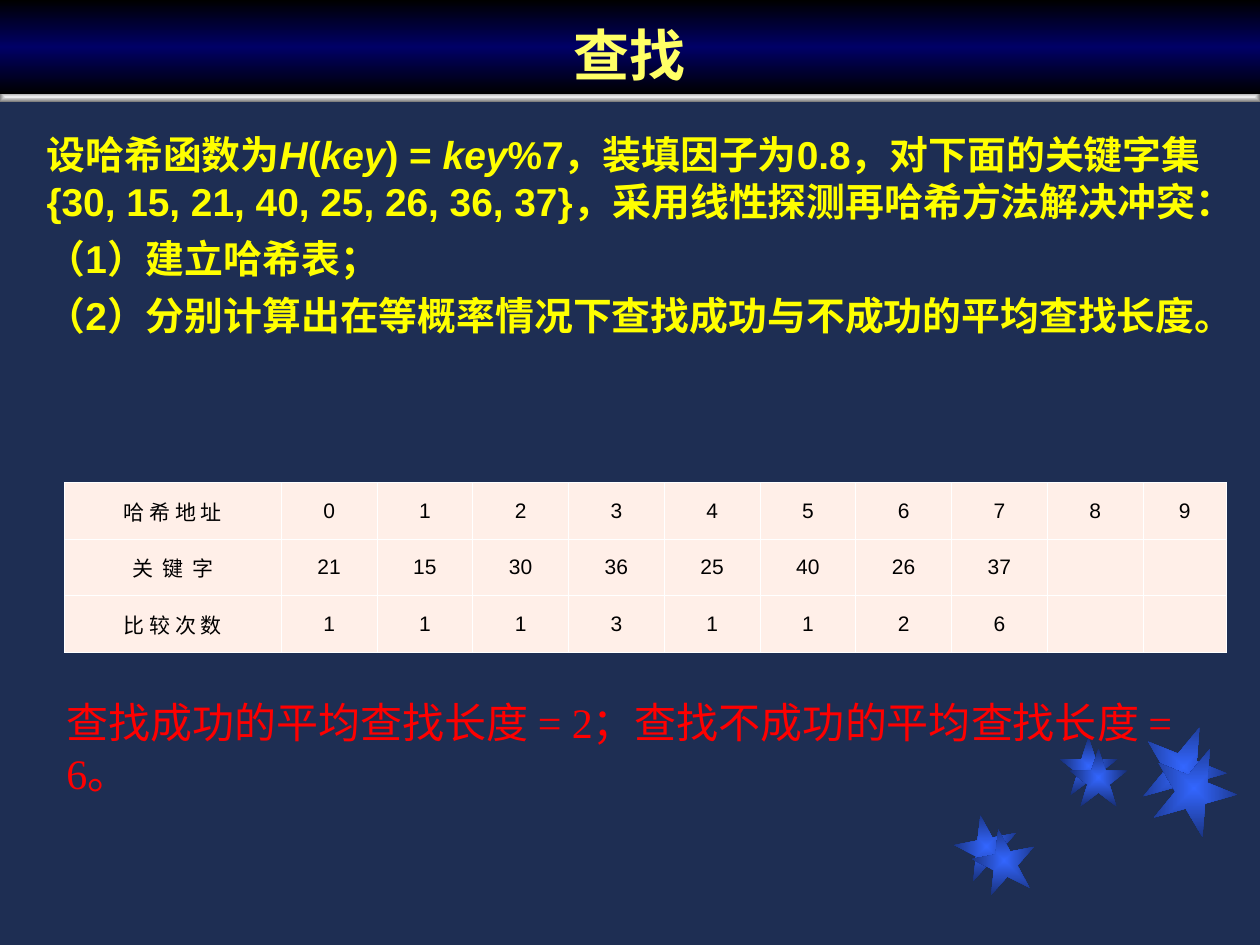
from lxml import etree
from pptx import Presentation
from pptx.dml.color import RGBColor
from pptx.enum.shapes import MSO_SHAPE as Shape
from pptx.enum.text import MSO_ANCHOR as Anchor, PP_ALIGN as Align
from pptx.oxml import parse_xml
from pptx.oxml.ns import nsdecls, qn
from pptx.util import Cm, Pt

COLORS = {
    "background": "1E2E53", "title": "FFFF66", "question": "FFFF00",
    "answer": "FF0000", "cell": "FFEFE8", "cell_text": "000000",
    "border": "FFFFFF", "star": "3366FF", "star_edge": "182F76",
    "bar": "EDEDED", "bar_edge": "808080", "black": "000000", "navy": "000066",
}
CHINESE_FONT = "Noto Sans CJK SC"

TITLE = "查找"
# Each paragraph is a list of (text, italic) runs.
QUESTION = [
    [("设哈希函数为", False), ("H", True), ("(", False), ("key", True),
     (") = ", False), ("key", True),
     ("%7，装填因子为0.8，对下面的关键字集{30, 15, 21, 40, 25, 26, 36, 37}"
      "，采用线性探测再哈希方法解决冲突：", False)],
    [("（1）建立哈希表；", False)],
    [("（2）分别计算出在等概率情况下查找成功与不成功的平均查找长度。", False)],
]
HASH_TABLE = [
    ("哈 希 地 址", list(range(10))),
    ("关  键  字", [21, 15, 30, 36, 25, 40, 26, 37, "", ""]),
    ("比 较 次 数", [1, 1, 1, 3, 1, 1, 2, 6, "", ""]),
]
COLUMN_WIDTHS = [4.37] + [1.93] * 9 + [1.68]
ROW_HEIGHT = 1.14
ANSWER = "查找成功的平均查找长度 = 2；查找不成功的平均查找长度 = 6。"

# left, top, size in cm, then rotation
STARS = [
    (19.25, 16.43, 1.27, -11), (21.36, 14.86, 1.17, 0), (23.01, 14.61, 1.7, 22),
    (19.61, 16.71, 1.27, -11), (21.56, 15.09, 1.17, 0), (23.22, 15.04, 1.7, 22),
]
STAR_OUTLINE = [
    (0, 38), (38, 38), (50, 0), (62, 38), (100, 38),
    (69, 62), (81, 100), (50, 76), (19, 100), (31, 62),
]


def color(name):
    return RGBColor.from_string(COLORS[name])


def fill_gradient(shape, stops, direction):
    shape.fill.solid()
    shape.line.fill.background()
    properties = shape.fill._xPr
    stop_xml = "".join(
        f'<a:gs pos="{position * 1000}"><a:srgbClr val="{COLORS[name]}"/></a:gs>'
        for position, name in stops)
    gradient = parse_xml(f'<a:gradFill {nsdecls("a")} rotWithShape="1">'
                         f"<a:gsLst>{stop_xml}</a:gsLst>{direction}</a:gradFill>")
    properties.replace(properties.find(qn("a:solidFill")), gradient)


def fill_from_center(shape, center, edge):
    shape.shadow.inherit = False
    fill_gradient(shape, [(0, center), (100, edge)],
                  '<a:path path="rect"><a:fillToRect l="50000" t="50000" '
                  'r="50000" b="50000"/></a:path>')


def add_text(para, text, *, size, fill, font="Arial", bold=False, italic=False,
             east_asian=None):
    span = para.add_run()
    span.text = text
    span.font.size = Pt(size)
    span.font.name = font
    span.font.bold = bold
    span.font.italic = italic
    span.font.color.rgb = color(fill)
    if east_asian:
        latin = span.font._element.find(qn("a:latin"))
        latin.addnext(parse_xml(f'<a:ea {nsdecls("a")} typeface="{east_asian}"/>'))


def place(shape, left, top, width, height):
    shape.left, shape.top = Cm(left), Cm(top)
    shape.width, shape.height = Cm(width), Cm(height)


def add_box(page, left, top, width, height):
    box = page.shapes.add_textbox(Cm(left), Cm(top), Cm(width), Cm(height))
    box.text_frame.word_wrap = True
    return box.text_frame


def add_star(page, left, top, size, rotation):
    builder = page.shapes.build_freeform(*STAR_OUTLINE[0], scale=Cm(size) / 100)
    builder.add_line_segments(STAR_OUTLINE[1:], close=True)
    star = builder.convert_to_shape(Cm(left), Cm(top))
    place(star, left, top, size, size)
    star.rotation = rotation
    fill_from_center(star, "star", "star_edge")


def add_title(page):
    title = page.shapes.title
    place(title, 0, 0, 25.4, 1.9)
    fill_gradient(title, [(0, "black"), (50, "navy"), (100, "black")],
                  '<a:lin ang="5400000" scaled="0"/>')
    title.text_frame.vertical_anchor = Anchor.BOTTOM
    para = title.text_frame.paragraphs[0]
    para.alignment = Align.CENTER
    add_text(para, TITLE, size=32, fill="title", font=CHINESE_FONT, bold=True,
             east_asian=CHINESE_FONT)
    # The title covers the top edge of the bar.
    page.shapes._spTree.append(title._element)


def add_borders(cell):
    properties = cell._tc.get_or_add_tcPr()
    for index, side in enumerate(("lnL", "lnR", "lnT", "lnB")):
        line = etree.Element(qn(f"a:{side}"), w=str(Pt(0.45)))
        solid = etree.SubElement(line, qn("a:solidFill"))
        etree.SubElement(solid, qn("a:srgbClr"), val=COLORS["border"])
        properties.insert(index, line)


def fill_cell(cell, text, spacing):
    cell.fill.solid()
    cell.fill.fore_color.rgb = color("cell")
    cell.vertical_anchor = Anchor.MIDDLE
    cell.margin_left = cell.margin_right = Cm(0.18)
    add_borders(cell)
    if text != "":
        para = cell.text_frame.paragraphs[0]
        para.alignment = Align.CENTER
        para.space_after = Pt(spacing)
        add_text(para, str(text), size=12, fill="cell_text")


def add_hash_table(page):
    table = page.shapes.add_table(
        len(HASH_TABLE), len(COLUMN_WIDTHS), Cm(1.3), Cm(9.73),
        Cm(sum(COLUMN_WIDTHS)), Cm(ROW_HEIGHT * len(HASH_TABLE))).table
    for column, width in zip(table.columns, COLUMN_WIDTHS):
        column.width = Cm(width)
    for row_index, (label, values) in enumerate(HASH_TABLE):
        table.rows[row_index].height = Cm(ROW_HEIGHT)
        for column_index, value in enumerate([label, *values]):
            fill_cell(table.cell(row_index, column_index), value,
                      spacing=2 if column_index else 1)


def main():
    deck = Presentation()
    deck.slide_width, deck.slide_height = Cm(25.4), Cm(19.05)
    page = deck.slides.add_slide(deck.slide_layouts[5])
    page.background.fill.solid()
    page.background.fill.fore_color.rgb = color("background")

    for star in STARS:
        add_star(page, *star)
    bar = page.shapes.add_shape(Shape.RECTANGLE, 0, Cm(1.85), Cm(25.4), Cm(0.2))
    fill_from_center(bar, "bar", "bar_edge")
    add_title(page)

    question = add_box(page, 0.69, 2.51, 24.03, 6.4)
    for index, runs in enumerate(QUESTION):
        para = question.add_paragraph() if index else question.paragraphs[0]
        para.space_before = Pt(6 if index else 0)
        for text, italic in runs:
            add_text(para, text, size=22.2, fill="question", bold=True, italic=italic)

    answer = add_box(page, 1.09, 13.92, 23.6, 2.29)
    add_text(answer.paragraphs[0], ANSWER, size=24, fill="answer",
             font="Times New Roman")
    add_hash_table(page)
    deck.save("out.pptx")


if __name__ == "__main__":
    main()
